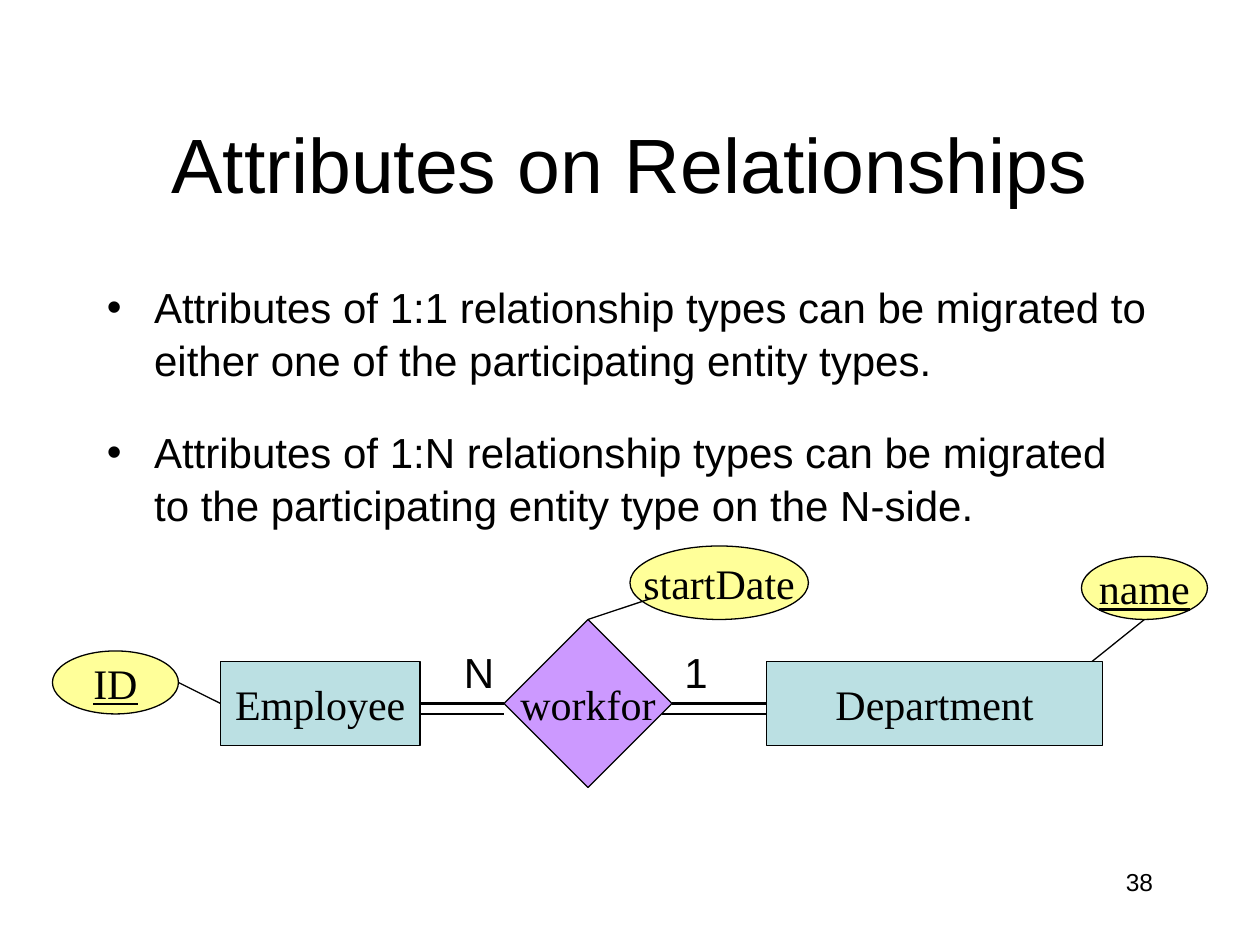
from dataclasses import dataclass

from lxml.etree import SubElement
from pptx import Presentation
from pptx.dml.color import RGBColor
from pptx.enum.shapes import MSO_CONNECTOR, MSO_SHAPE
from pptx.enum.text import MSO_ANCHOR, PP_ALIGN
from pptx.oxml.ns import qn
from pptx.util import Emu, Pt

EMU_PER_PX = 7620


def px(length):
    return Emu(length * EMU_PER_PX)


@dataclass(frozen=True)
class Theme:
    ink: str = "000000"
    entity: str = "BBE0E3"
    relationship: str = "CC99FF"
    attribute: str = "FFFF99"
    sans: str = "Arial"
    serif: str = "Times New Roman"
    title_size: int = 44
    text_size: int = 24
    number_size: int = 14
    thin: float = 0.75
    thick: float = 1.5


class DiagramPage:
    def __init__(self, slide, theme):
        self.slide = slide
        self.theme = theme

    def style_font(self, para, size, face, underline=None):
        font = para.font
        font.size = Pt(size)
        font.name = face
        font.underline = underline
        font.color.rgb = RGBColor.from_string(self.theme.ink)

    def text(self, words, bounds, size, align=PP_ALIGN.LEFT, anchor=MSO_ANCHOR.TOP):
        box = self.slide.shapes.add_textbox(*map(px, bounds))
        frame = box.text_frame
        frame.word_wrap = True
        frame.vertical_anchor = anchor
        para = frame.paragraphs[0]
        para.text = words
        para.alignment = align
        self.style_font(para, size, self.theme.sans)

    def bullets(self, items, bounds):
        box = self.slide.shapes.add_textbox(*map(px, bounds))
        frame = box.text_frame
        frame.word_wrap = True
        for index, words in enumerate(items):
            para = frame.add_paragraph() if index else frame.paragraphs[0]
            para.text = words
            para.line_spacing = 1.05
            if index:
                para.space_before = Pt(22.5)
            properties = para._p.get_or_add_pPr()
            properties.set("marL", str(px(45)))
            properties.set("indent", str(px(-45)))
            SubElement(properties, qn("a:buFont"), typeface=self.theme.sans)
            SubElement(properties, qn("a:buChar"), char="•")
            self.style_font(para, self.theme.text_size, self.theme.sans)

    def node(self, kind, words, bounds, fill, underline=None):
        shape = self.slide.shapes.add_shape(kind, *map(px, bounds))
        shape.shadow.inherit = False
        shape.fill.solid()
        shape.fill.fore_color.rgb = RGBColor.from_string(fill)
        shape.line.color.rgb = RGBColor.from_string(self.theme.ink)
        shape.line.width = Pt(self.theme.thin)
        frame = shape.text_frame
        frame.word_wrap = False
        frame.vertical_anchor = MSO_ANCHOR.MIDDLE
        para = frame.paragraphs[0]
        para.text = words
        para.alignment = PP_ALIGN.CENTER
        self.style_font(para, self.theme.text_size, self.theme.serif, underline)
        return shape

    def entity(self, words, bounds):
        return self.node(MSO_SHAPE.RECTANGLE, words, bounds, self.theme.entity)

    def relationship(self, words, bounds):
        return self.node(MSO_SHAPE.DIAMOND, words, bounds, self.theme.relationship)

    def attribute(self, words, bounds, key=None):
        return self.node(MSO_SHAPE.OVAL, words, bounds, self.theme.attribute, key)

    def line(self, start, end, width, begin=None, finish=None):
        connector = self.slide.shapes.add_connector(
            MSO_CONNECTOR.STRAIGHT, *map(px, (*start, *end))
        )
        connector.line.color.rgb = RGBColor.from_string(self.theme.ink)
        connector.line.width = Pt(width)
        SubElement(connector._element.spPr, qn("a:effectLst"))
        if begin:
            connector.begin_connect(*begin)
        if finish:
            connector.end_connect(*finish)


def main():
    deck = Presentation()
    deck.slide_width, deck.slide_height = px(1200), px(900)
    theme = Theme()
    page = DiagramPage(deck.slides.add_slide(deck.slide_layouts[6]), theme)

    page.text("Attributes on Relationships", (90, 80, 1020, 150), theme.title_size,
              PP_ALIGN.CENTER, MSO_ANCHOR.MIDDLE)
    page.bullets(
        (
            "Attributes of 1:1 relationship types can be migrated to "
            "either one of the participating entity types.",
            "Attributes of 1:N relationship types can be migrated "
            "to the participating entity type on the N-side.",
        ),
        (90, 260, 1020, 540),
    )
    page.text("38", (860, 820, 250, 60), theme.number_size, PP_ALIGN.RIGHT)

    employee = page.entity("Employee", (210, 630, 190, 80))
    department = page.entity("Department", (730, 630, 320, 80))
    workfor = page.relationship("workfor", (480, 590, 160, 160))
    page.line((400, 670), (480, 670), theme.thick, (employee, 3), (workfor, 1))
    page.line((640, 670), (730, 670), theme.thick, (workfor, 3), (department, 1))
    for words, left in (("N", 430), ("1", 640)):
        page.text(words, (left, 610, 40, 60), theme.text_size)

    page.attribute("name", (1030, 530, 120, 60), key=True)
    page.line((1090, 590), (1040, 630), theme.thin)
    page.attribute("ID", (50, 620, 120, 60), key=True)
    page.line((210, 670), (170, 650), theme.thin, begin=(employee, 1))
    page.attribute("startDate", (600, 520, 170, 70))
    page.line((620, 570), (560, 590), theme.thin, finish=(workfor, 0))

    for left, right in ((400, 480), (630, 730)):
        page.line((left, 680), (right, 680), theme.thick)

    deck.save("out.pptx")


if __name__ == "__main__":
    main()
